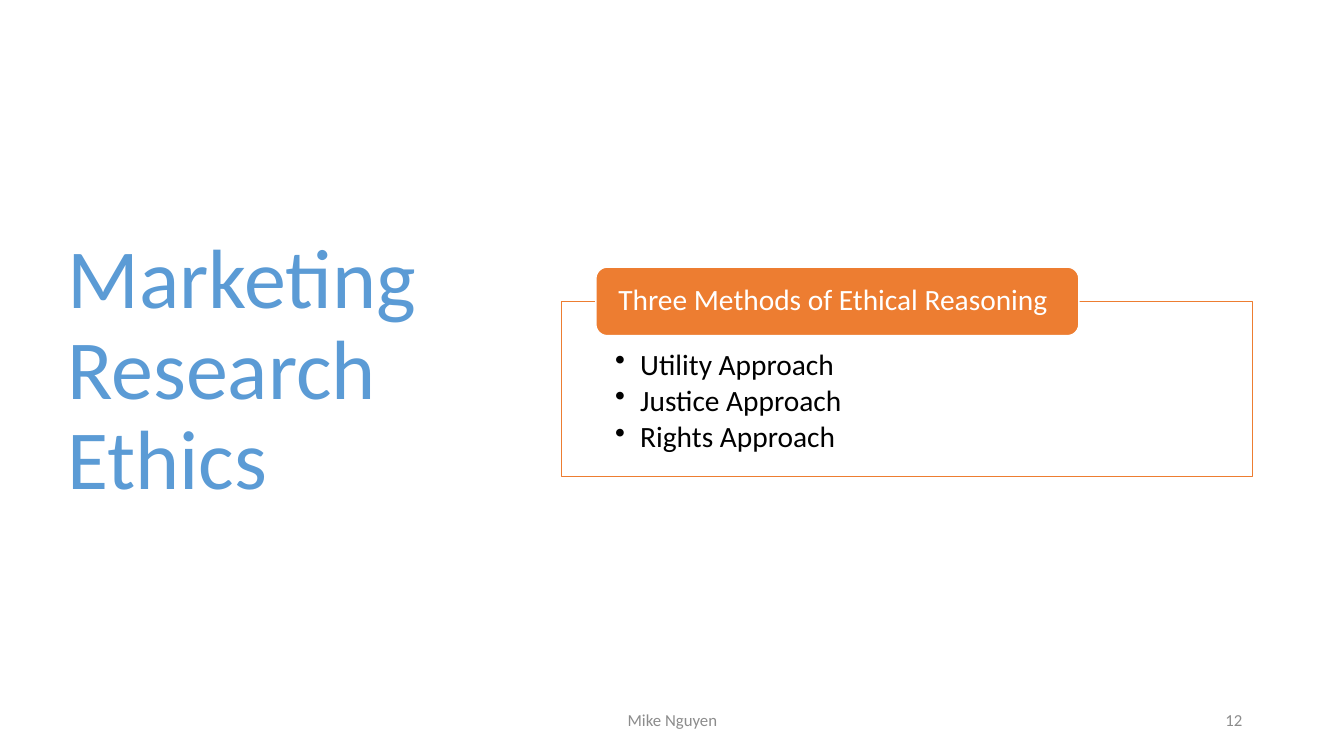
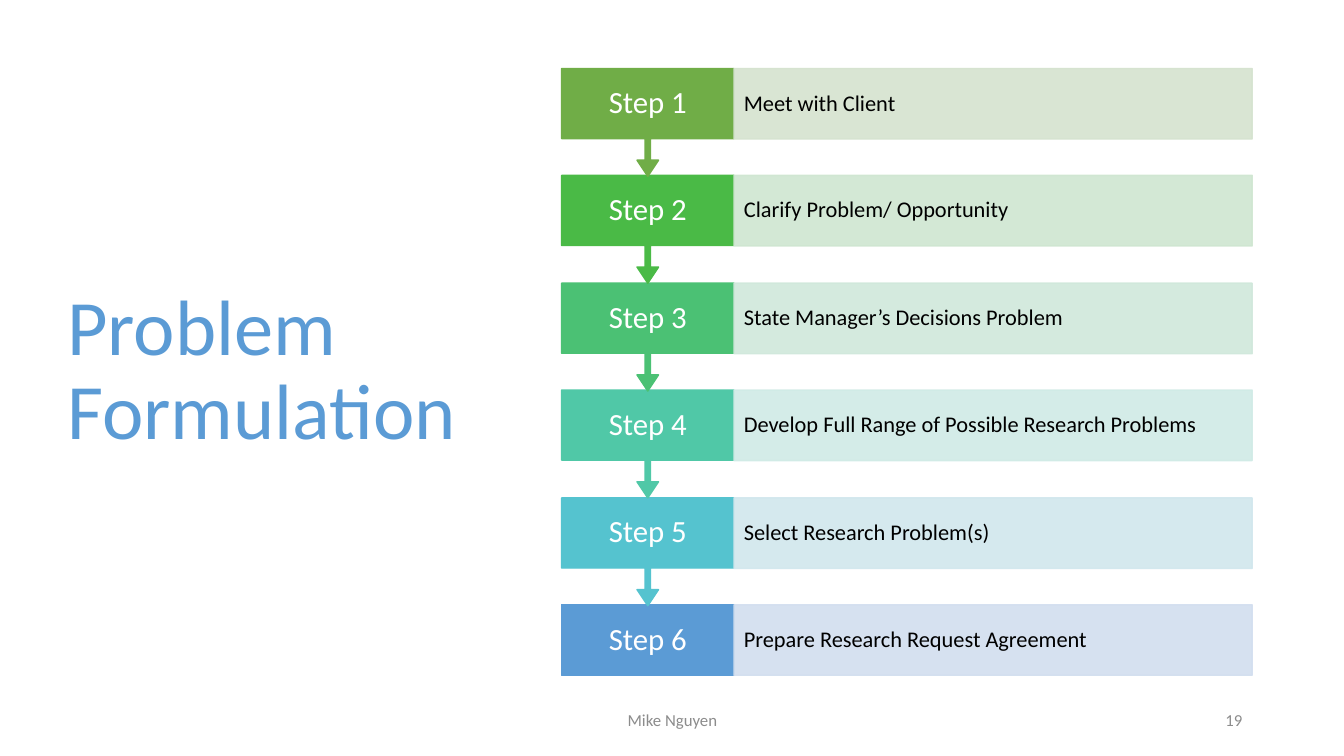
import pptx
import pptx.util
import pptx.dml.color
import pptx.enum.shapes
import pptx.enum.text
import pptx.oxml.ns
from lxml import etree

SHAPE = pptx.enum.shapes.MSO_SHAPE
ALIGN = pptx.enum.text.PP_ALIGN
ANCHOR = pptx.enum.text.MSO_ANCHOR
qn = pptx.oxml.ns.qn


class Theme:
    font = "Calibri"
    blue = "5B9BD5"
    orange = "ED7D31"
    white = "FFFFFF"
    black = "000000"
    gray = "8C8C8C"
    steps = ["70AD47", "4ABA46", "4BC174", "50C8A7", "55C3CF", blue]
    tints = ["D5E3CF", "CFE6D1", "D0E8DB", "D0EBE6", "D1E7ED", "D2DEEF"]
    title, small, head, step, body = 60, 12, 21, 22, 16


def px(n):
    return pptx.util.Emu(n * 9144)


def rgb(color):
    return pptx.dml.color.RGBColor.from_string(color)


def write(shape, text, size=Theme.body, color=Theme.black, align=ALIGN.LEFT,
          anchor=ANCHOR.MIDDLE, pad=(10, 5, 10, 5), after=0, bullet=False):
    frame = shape.text_frame
    frame.word_wrap = True
    frame.vertical_anchor = anchor
    (frame.margin_left, frame.margin_top,
     frame.margin_right, frame.margin_bottom) = map(px, pad)
    for i, line in enumerate(text.split("\n")):
        para = frame.add_paragraph() if i else frame.paragraphs[0]
        if bullet:
            props = para._p.get_or_add_pPr()
            props.set("marL", str(px(25)))
            props.set("indent", str(px(-25)))
            etree.SubElement(props, qn("a:buChar"), char="•")
        para.alignment = align
        para.line_spacing = 0.9
        para.space_after = pptx.util.Pt(after)
        run = para.add_run()
        run.text = line
        run.font.name = Theme.font
        run.font.size = pptx.util.Pt(size)
        run.font.color.rgb = rgb(color)


class Deck:
    """Holds the style and the current slide."""

    def __init__(self, theme):
        self.theme = theme
        self.file = pptx.Presentation()
        self.file.slide_width, self.file.slide_height = px(1333), px(750)
        self.slide = None

    def text(self, box, text, **form):
        write(self.slide.shapes.add_textbox(*map(px, box)), text, **form)

    def page(self, title, number, size=Theme.title):
        self.slide = self.file.slides.add_slide(self.file.slide_layouts[6])
        self.text((57, 68, 416, 602), title, size=size, color=self.theme.blue)
        note = dict(size=self.theme.small, color=self.theme.gray)
        self.text((442, 695, 450, 40), "Mike Nguyen", align=ALIGN.CENTER, **note)
        self.text((942, 695, 300, 40), str(number), align=ALIGN.RIGHT, **note)

    def shape(self, kind, box, text, fill, line=None, adjust=(), alpha=100, **form):
        shape = self.slide.shapes.add_shape(kind, *map(px, box))
        shape.shadow.inherit = False
        for i, value in enumerate(adjust):
            shape.adjustments[i] = value
        shape.fill.solid()
        shape.fill.fore_color.rgb = rgb(fill)
        shape.line.color.rgb = rgb(line or fill)
        shape.line.width = pptx.util.Pt(1)
        if alpha < 100:
            for node in shape._element.spPr.iter(qn("a:srgbClr")):
                etree.SubElement(node, qn("a:alpha"), val=str(alpha * 1000))
        write(shape, text, **form)

    def card(self, head, items):
        look = self.theme
        self.shape(SHAPE.RECTANGLE, (557, 299, 685, 174), "\n".join(items),
                   look.white, look.orange, size=look.head, anchor=ANCHOR.TOP,
                   pad=(53, 48, 53, 16), after=3.15, bullet=True)
        self.shape(SHAPE.ROUNDED_RECTANGLE, (591, 265, 479, 68), head,
                   look.orange, look.white, size=look.head, color=look.white,
                   pad=(19, 0, 19, 0))

    def step(self, i, top, text, last):
        look = self.theme
        kind, tall, adjust = SHAPE.DOWN_ARROW_CALLOUT, 107, (0.05, 0.1, 0.15, 0.65)
        if last:
            kind, tall, adjust = SHAPE.RECTANGLE, 70, ()
        self.shape(kind, (557, top, 171, tall), f"Step {i + 1}", look.steps[i],
                   adjust=adjust, size=look.step, color=look.white,
                   align=ALIGN.CENTER)
        self.shape(SHAPE.RECTANGLE, (728, top, 514, 70), text, look.tints[i],
                   alpha=90)

    def flow(self, items):
        first, end = 68, 600
        last = len(items) - 1
        for i in reversed(range(len(items))):
            top = first + round((end - first) * i / last)
            self.step(i, top, items[i], i == last)


def main():
    deck = Deck(Theme)
    deck.page("Marketing Research Ethics", 12)
    deck.card("Three Methods of Ethical Reasoning",
              ["Utility Approach", "Justice Approach", "Rights Approach"])
    deck.page("Problem Formulation", 19, size=56)
    deck.flow(["Meet with Client",
               "Clarify Problem/ Opportunity",
               "State Manager’s Decisions Problem",
               "Develop Full Range of Possible Research Problems",
               "Select Research Problem(s)",
               "Prepare Research Request Agreement"])
    deck.file.save("out.pptx")


if __name__ == "__main__":
    main()
